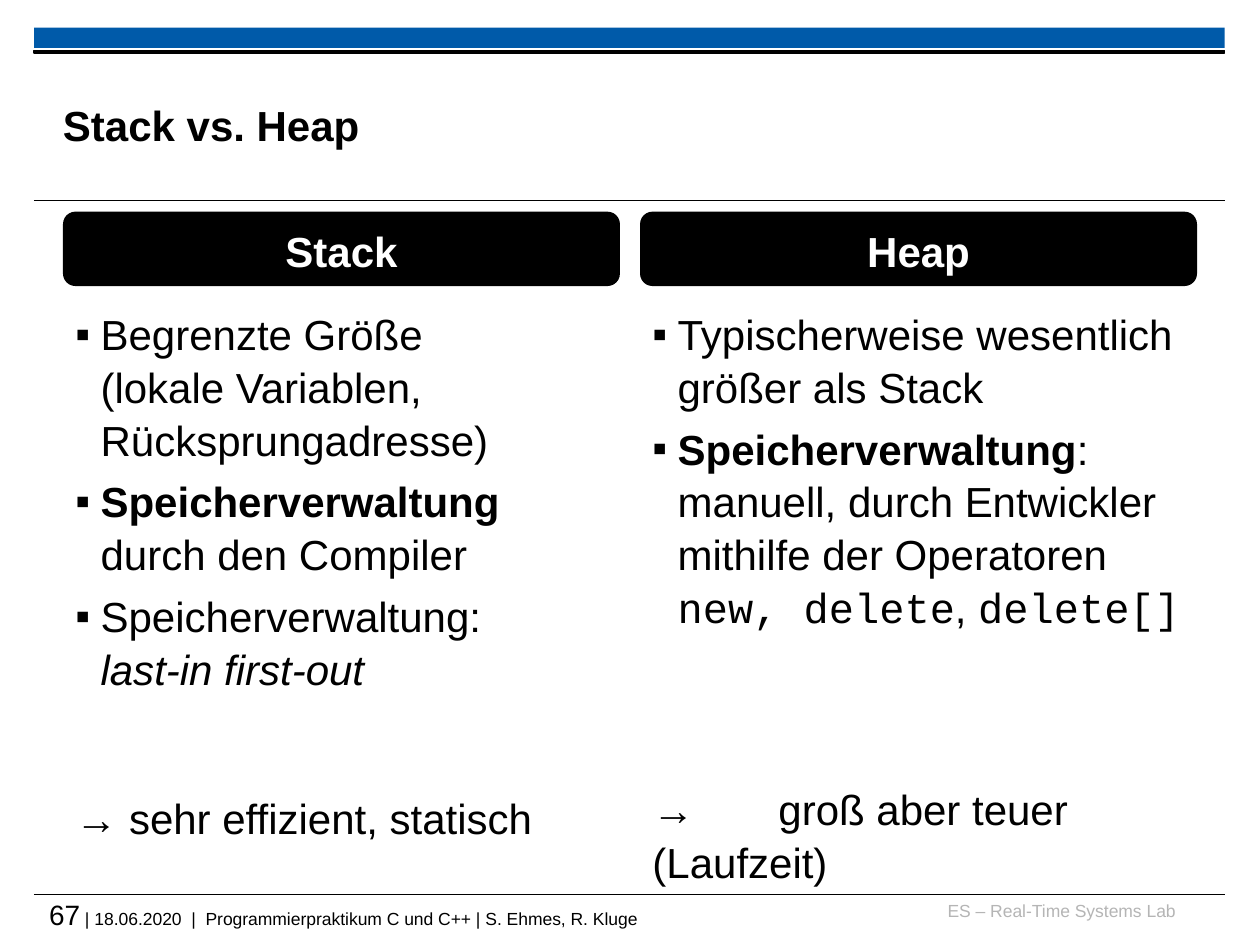
from dataclasses import dataclass

from lxml import etree
from pptx import Presentation
from pptx import util as u
from pptx.dml.color import RGBColor
from pptx.enum import shapes, text
from pptx.oxml.ns import qn


@dataclass(frozen=True)
class Theme:
    black: str = "000000"
    white: str = "FFFFFF"
    blue: str = "005AA9"
    grey: str = "B5B5B5"
    font: str = "Arial"
    code: str = "Courier New"
    body: int = 24
    number: int = 16
    small: int = 10


THEME = Theme()


def add_run(p, content, size=THEME.body, color=THEME.black, font=THEME.font,
            bold=False, italic=False):
    """Add formatted text; a newline becomes a line break."""
    for i, line in enumerate(content.split("\n")):
        if i:
            p.add_line_break()
        if line:
            r = p.add_run()
            r.text = line
            r.font.size, r.font.name = u.Pt(size), font
            r.font.bold, r.font.italic = bold, italic
            r.font.color.rgb = RGBColor.from_string(color)


class SlideBuilder:
    def __init__(self, slide, theme):
        self.s, self.theme = slide, theme

    def box(self, x, y, w, h, kind=shapes.MSO_SHAPE.RECTANGLE, fill=THEME.black, line=None):
        sp = self.s.shapes.add_shape(kind, *map(u.Inches, (x, y, w, h)))
        sp.shadow.inherit = False
        sp.fill.solid()
        sp.fill.fore_color.rgb = RGBColor.from_string(fill)
        if line:
            sp.line.color.rgb = RGBColor.from_string(fill)
            sp.line.width = u.Pt(line)
        else:
            sp.line.fill.background()
        return sp

    def rule(self, x, y, w):
        ln = self.s.shapes.add_connector(
            shapes.MSO_CONNECTOR.STRAIGHT, *map(u.Inches, (x, y, x + w, y)))
        ln.line.color.rgb = RGBColor.from_string(self.theme.black)
        ln.line.width = u.Pt(0.6)
        etree.SubElement(ln._element.spPr, qn("a:effectLst"))

    def text_frame(self, x, y, w, h, inset=True, anchor=text.MSO_ANCHOR.TOP):
        tf = self.s.shapes.add_textbox(*map(u.Inches, (x, y, w, h))).text_frame
        tf.word_wrap = True
        tf.vertical_anchor = anchor
        if not inset:
            tf.margin_left = tf.margin_right = tf.margin_top = tf.margin_bottom = 0
        return tf

    def label(self, x, y, w, h, runs, align=text.PP_ALIGN.LEFT, anchor=text.MSO_ANCHOR.TOP):
        p = self.text_frame(x, y, w, h, False, anchor).paragraphs[0]
        p.alignment = align
        for content, style in runs:
            add_run(p, content, **style)

    def header(self, x, y, w, h, content):
        sp = self.box(x, y, w, h, shapes.MSO_SHAPE.ROUNDED_RECTANGLE)
        tf = sp.text_frame
        tf.vertical_anchor = text.MSO_ANCHOR.BOTTOM
        p = tf.paragraphs[0]
        p.alignment = text.PP_ALIGN.CENTER
        add_run(p, content, color=self.theme.white, bold=True)

    def bullets(self, x, y, w, h, items):
        tf = self.text_frame(x, y, w, h)
        for i, runs in enumerate(items):
            p = tf.add_paragraph() if i else tf.paragraphs[0]
            p.line_spacing = 1.05
            if i:
                p.space_before = u.Pt(5)
            pPr = p._p.get_or_add_pPr()
            pPr.set("marL", str(u.Inches(0.2)))
            pPr.set("indent", str(u.Inches(-0.2)))
            etree.SubElement(pPr, qn("a:buFont"), typeface=self.theme.font)
            etree.SubElement(pPr, qn("a:buChar"), char="▪")
            for content, style in runs:
                add_run(p, content, **style)

    def conclusion(self, x, y, w, h, content, tab=1.0):
        p = self.text_frame(x, y, w, h).paragraphs[0]
        p.line_spacing = 1.05
        tabs = etree.SubElement(p._p.get_or_add_pPr(), qn("a:tabLst"))
        etree.SubElement(tabs, qn("a:tab"), pos=str(u.Inches(tab)), algn="l")
        add_run(p, content)


BOLD, ITALIC, CODE = {"bold": True}, {"italic": True}, {"font": THEME.code}
COLUMNS = [
    ("Stack", [
        [("Begrenzte Größe\n(lokale Variablen, Rücksprungadresse)", {})],
        [("Speicherverwaltung ", BOLD), ("durch den Compiler", {})],
        [("Speicherverwaltung:\n", {}), ("last-in first-out", ITALIC)],
    ], "→ sehr effizient, statisch", 6.22),
    ("Heap", [
        [("Typischerweise wesentlich größer als Stack", {})],
        [("Speicherverwaltung", BOLD),
         (":\nmanuell, durch Entwickler\nmithilfe der Operatoren\n", {}),
         ("new, delete", CODE), (", ", {}), ("delete[]", CODE)],
    ], "→\tgroß aber teuer (Laufzeit)", 6.15),
]


def main():
    prs = Presentation()
    prs.slide_width, prs.slide_height = u.Inches(10), u.Inches(7.5)
    b = SlideBuilder(prs.slides.add_slide(prs.slide_layouts[6]), THEME)

    # Frame: top bar and rules
    left, width = 0.27, 9.45
    b.box(left, 0.22, width, 0.16, fill=THEME.blue)
    b.box(left, 0.4, width, 0.02, line=0.75)
    for y in (1.59, 7.1):
        b.rule(left, y, width)

    # Title
    b.label(0.5, 0.52, 9, 0.94, [("Stack vs. Heap", BOLD)], anchor=text.MSO_ANCHOR.MIDDLE)

    # Two columns
    col_w, pitch = 4.42, 4.58
    for i, (name, items, summary, summary_y) in enumerate(COLUMNS):
        x = 0.5 + i * pitch
        b.header(x, 1.68, col_w, 0.59, name)
        b.bullets(x, 2.38, col_w, 3.6, items)
        b.conclusion(x, summary_y, col_w, 0.5, summary)

    # Footer
    b.label(7.36, 7.14, 1.97, 0.25,
            [("ES – Real-Time Systems Lab", {"size": THEME.small, "color": THEME.grey})],
            align=text.PP_ALIGN.RIGHT)
    b.label(0.39, 7.12, 6.5, 0.33, [
        ("67", {"size": THEME.number}),
        (" | 18.06.2020  |  Programmierpraktikum C und C++ | S. Ehmes, R. Kluge",
         {"size": THEME.small})])

    prs.save("out.pptx")


if __name__ == "__main__":
    main()
